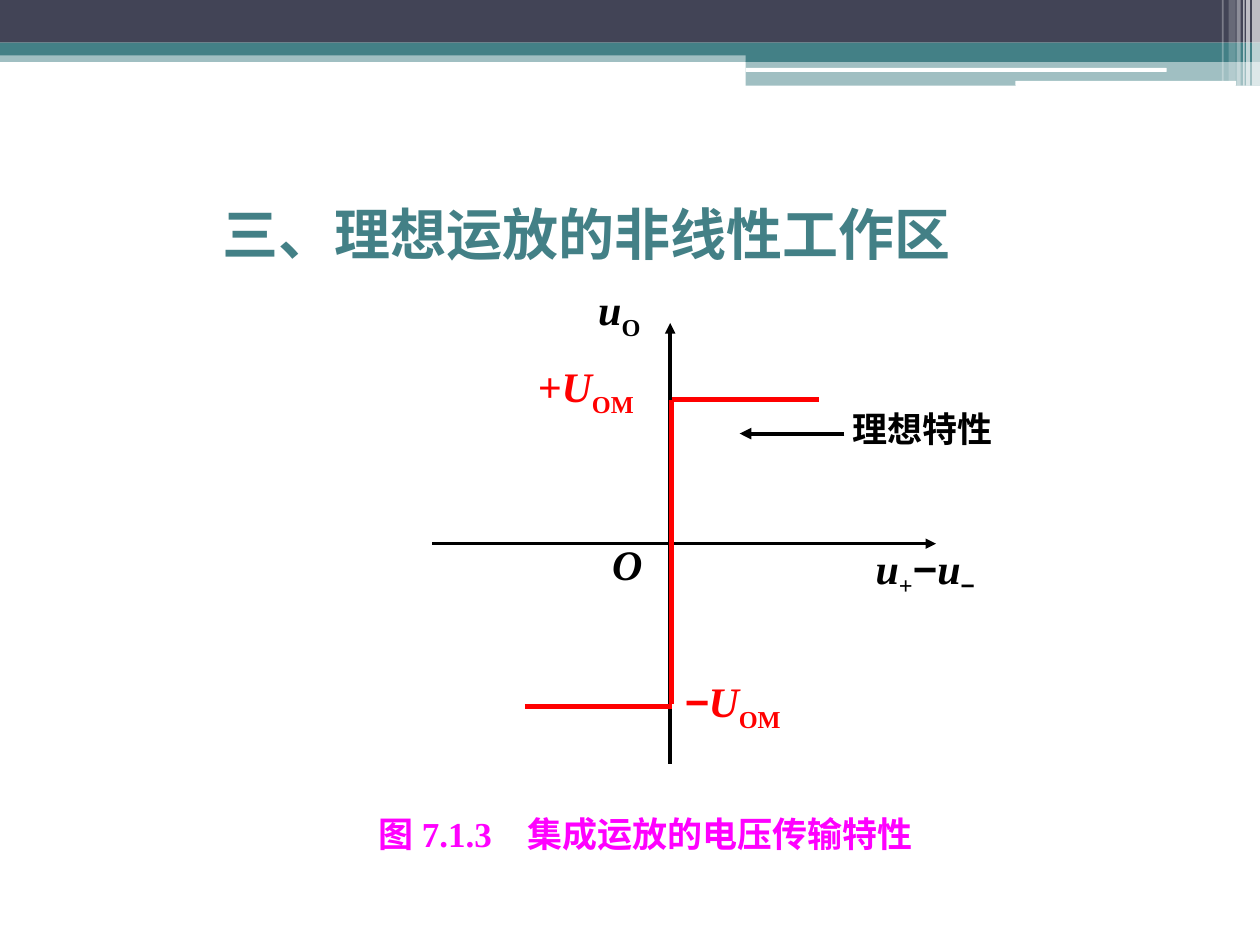
from lxml import etree
from pptx import Presentation
from pptx.dml.color import RGBColor
from pptx.enum import shapes, text
from pptx.oxml.ns import qn
from pptx.util import Cm, Pt

TEAL, DARK, WHITE = "438086", "424456", "FFFFFF"
BLACK, RED, MAGENTA = "000000", "FF0000", "FF00FF"
SERIF, SANS = "Times New Roman", "Arial"


def color(value):
    return RGBColor.from_string(value)


def add_bar(s, x, y, w, h, fill, alpha=100, rounded=False):
    """Add a borderless bar; alpha is its opacity in percent."""
    kind = shapes.MSO_SHAPE.ROUNDED_RECTANGLE if rounded else shapes.MSO_SHAPE.RECTANGLE
    sp = s.shapes.add_shape(kind, Cm(x), Cm(y), Cm(w), Cm(h))
    sp.shadow.inherit = False
    sp.line.fill.background()
    sp.fill.solid()
    sp.fill.fore_color.rgb = color(fill)
    if alpha < 100:
        srgb = next(sp.element.spPr.iter(qn("a:srgbClr")))
        etree.SubElement(srgb, qn("a:alpha"), val=str(alpha * 1000))


def add_line(s, start, end, line_color, width, arrow=False):
    cx = s.shapes.add_connector(shapes.MSO_CONNECTOR.STRAIGHT,
                                *(Cm(v) for v in start + end))
    cx.line.color.rgb = color(line_color)
    cx.line.width = Pt(width)
    if arrow:
        etree.SubElement(cx.line._get_or_add_ln(), qn("a:tailEnd"), type="triangle")
    etree.SubElement(cx.element.spPr, qn("a:effectLst"))


def add_text(s, x, y, w, h, parts, size, font_color, align=text.PP_ALIGN.LEFT):
    """Add one line of bold text; each part is (text, style) where style may
    hold i for italic, s for subscript and a for the sans font."""
    tf = s.shapes.add_textbox(Cm(x), Cm(y), Cm(w), Cm(h)).text_frame
    tf.word_wrap = True
    p = tf.paragraphs[0]
    p.alignment = align
    for content, style in parts:
        r = p.add_run()
        r.text = content
        r.font.name = SANS if "a" in style else SERIF
        r.font.size = Pt(size)
        r.font.bold = True
        r.font.italic = "i" in style
        r.font.color.rgb = color(font_color)
        if "s" in style:
            r.font._element.set("baseline", "-25000")


def add_header(s, x, y, w):
    right = 15.03
    add_bar(s, x, y + 1.02, w, 0.23, TEAL, 50)
    add_bar(s, x, y, w, 0.86, DARK)
    add_bar(s, x, y + 0.86, w, 0.26, TEAL)
    add_bar(s, x + right, y + 0.99, w - right, 0.26, TEAL)
    add_bar(s, x + right, y + 1.23, w - right, 0.5, TEAL, 50)
    add_bar(s, x + right, y + 1.37, 8.49, 0.08, WHITE, rounded=True)
    add_bar(s, x + 20.47, y + 1.63, 4.45, 0.1, WHITE, rounded=True)
    stripes = [(25.24, 0.16, 1.73, 65), (25.12, 0.08, 1.73, 65),
               (25.06, 0.03, 1.73, 60), (24.93, 0.08, 1.73, 40),
               (24.77, 0.14, 1.63, 20), (24.63, 0.04, 1.63, 30)]
    for left, width, height, alpha in stripes:
        add_bar(s, x + left, y, width, height, WHITE, alpha)


def add_transfer_plot(s, x, y, w, h):
    """Draw the axes, the saturated step and their labels."""
    ox, oy = x + 4.8, y + 5.36
    add_line(s, (x, oy), (x + 10.16, oy), BLACK, 2, arrow=True)
    add_line(s, (ox, y + h), (ox, y + 0.91), BLACK, 2, arrow=True)

    step, high, low = x + 4.83, y + 2.46, y + 8.64
    reach = 2.96
    add_line(s, (step - reach, low), (step, low), RED, 3)
    add_line(s, (step, high), (step + reach, high), RED, 3)
    add_line(s, (step, high), (step, low - 0.05), RED, 3)

    labels = [
        (3.1, 0, 2.11, BLACK, [("u", "i"), ("O", "s")]),
        (w - 3.33, 5.21, 3.33, BLACK,
         [("u", "i"), ("+", "s"), ("−", "a"), ("u", "i"), ("−", "as")]),
        (3.38, 5.13, 2.11, BLACK, [("O", "i")]),
        (1.88, 1.55, 2.97, RED, [("+U", "i"), ("OM", "s")]),
        (4.83, 7.9, 2.97, RED, [("−", "ai"), ("U", "i"), ("OM", "s")]),
    ]
    for left, top, width, font_color, parts in labels:
        add_text(s, x + left, y + top, width, 1.27, parts, 24, font_color)


def add_callout(s, x, y, w, h):
    add_text(s, x + 2.03, y, w - 2.03, h, [("理想特性", "")], 20, BLACK)
    add_line(s, (x + 2.11, y + 0.64), (x, y + 0.64), BLACK, 2.25, arrow=True)


def main():
    prs = Presentation()
    prs.slide_width, prs.slide_height = Cm(25.4), Cm(19.05)
    s = prs.slides.add_slide(prs.slide_layouts[6])
    add_header(s, 0, 0, 25.4)
    add_text(s, 4.23, 3.89, 16.07, 1.6, [("三、理想运放的非线性工作区", "")], 32, TEAL)
    add_transfer_plot(s, 8.71, 5.6, 12.02, 9.8)
    add_callout(s, 14.91, 8.1, 5.64, 1.09)
    add_text(s, 5.72, 16.26, 14.6, 1.09, [("图 7.1.3　集成运放的电压传输特性", "")],
             20, MAGENTA, text.PP_ALIGN.CENTER)
    prs.save("out.pptx")


if __name__ == "__main__":
    main()
